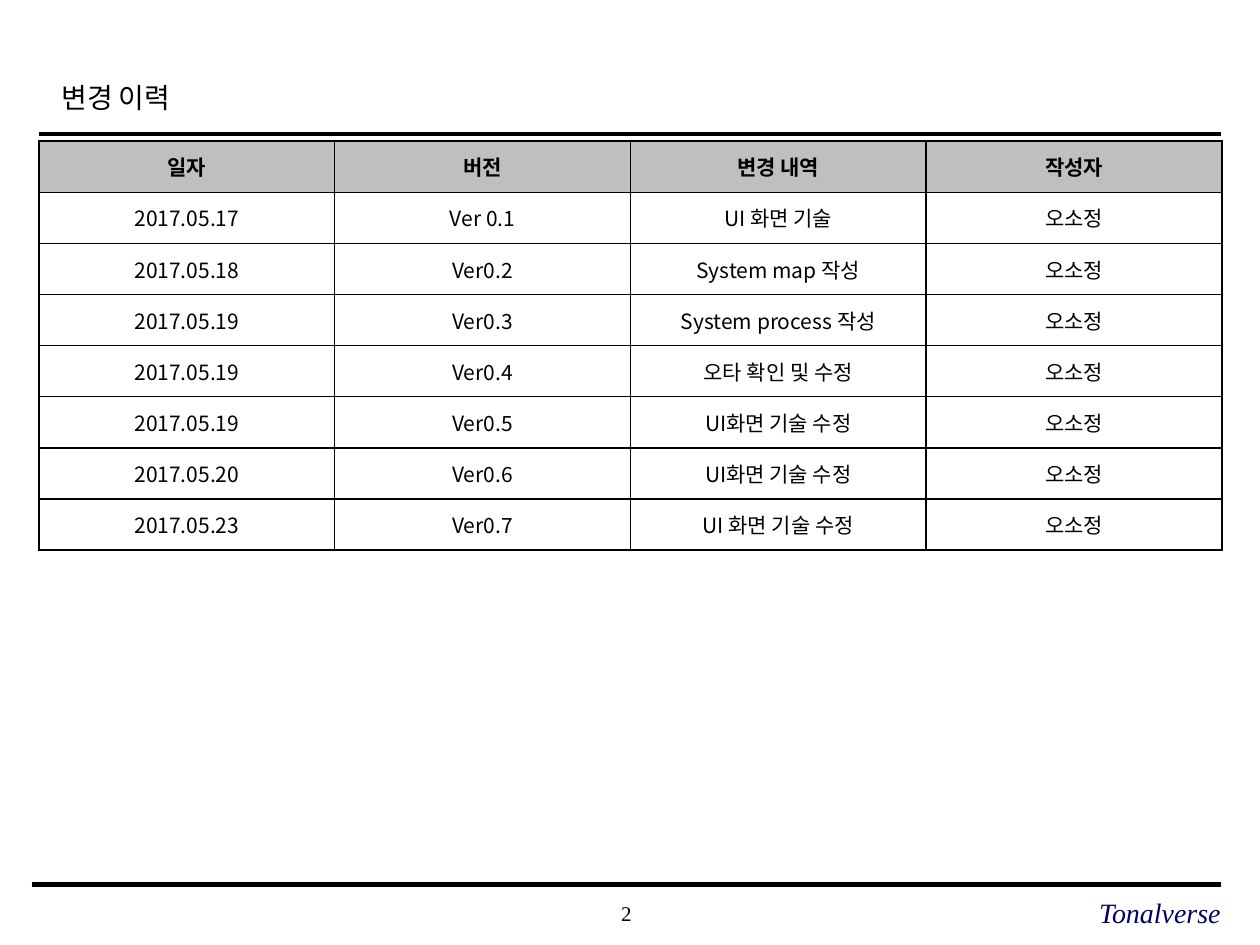
from pptx import Presentation
from pptx.dml.color import RGBColor
from pptx.enum.shapes import MSO_CONNECTOR
from pptx.enum.text import MSO_ANCHOR as Anchor, PP_ALIGN as Align
from pptx.oxml.ns import qn
from pptx.util import Pt
from lxml.etree import SubElement

LATIN = "Times New Roman"
KOREAN = "Noto Sans CJK KR"
BLACK = "000000"


def color(hex_string):
    return RGBColor.from_string(hex_string)


def add_run(paragraph, text, size, font_name, hex_string=BLACK, bold=False, italic=False):
    """Add a run whose Korean letters always use the Korean font."""
    run = paragraph.add_run()
    run.text = text
    font = run.font
    font.size, font.name, font.bold, font.italic = Pt(size), font_name, bold, italic
    font.color.rgb = color(hex_string)
    SubElement(run._r.get_or_add_rPr(), qn("a:ea"), typeface=KOREAN)


presentation = Presentation()
presentation.slide_width, presentation.slide_height = Pt(720), Pt(540)
slide = presentation.slides.add_slide(presentation.slide_layouts[6])

# Rules under the title and above the footer
for left, top, width in [(22.5, 76.5, 2.5), (18, 505.5, 3)]:
    rule = slide.shapes.add_connector(
        MSO_CONNECTOR.STRAIGHT, Pt(left), Pt(top), Pt(697.5), Pt(top))
    rule.line.color.rgb = color(BLACK)
    rule.line.width = Pt(width)
    SubElement(rule._element.spPr, qn("a:effectLst"))

# Title
title = slide.shapes.add_textbox(Pt(28), Pt(35.5), Pt(543.5), Pt(36))
title.text_frame.word_wrap = True
title.text_frame.vertical_anchor = Anchor.MIDDLE
paragraph = title.text_frame.paragraphs[0]
paragraph.line_spacing = 1.2
add_run(paragraph, "변경 이력", 16, LATIN)

# Footer: page number and team name
footers = [
    ("2", 283, 150, Align.CENTER, 12, BLACK, False),
    ("Tonalverse", 477.5, 220, Align.RIGHT, 16, "000066", True),
]
for text, left, width, align, size, hex_string, italic in footers:
    footer = slide.shapes.add_textbox(Pt(left), Pt(509.5), Pt(width), Pt(24))
    frame = footer.text_frame
    frame.word_wrap = True
    frame.vertical_anchor = Anchor.MIDDLE
    frame.margin_left = frame.margin_right = frame.margin_top = frame.margin_bottom = 0
    paragraph = frame.paragraphs[0]
    paragraph.alignment = align
    add_run(paragraph, text, size, LATIN, hex_string, italic=italic)

# Change history
history = [
    ("일자", "버전", "변경 내역", "작성자"),
    ("2017.05.17", "Ver 0.1", "UI 화면 기술", "오소정"),
    ("2017.05.18", "Ver0.2", "System map 작성", "오소정"),
    ("2017.05.19", "Ver0.3", "System process 작성", "오소정"),
    ("2017.05.19", "Ver0.4", "오타 확인 및 수정", "오소정"),
    ("2017.05.19", "Ver0.5", "UI화면 기술 수정", "오소정"),
    ("2017.05.20", "Ver0.6", "UI화면 기술 수정", "오소정"),
    ("2017.05.23", "Ver0.7", "UI 화면 기술 수정", "오소정"),
]
column_width, row_height = 169, 29.2
table = slide.shapes.add_table(
    len(history), len(history[0]), Pt(22.3), Pt(80.7),
    Pt(column_width * len(history[0])), Pt(row_height * len(history))).table
for column in table.columns:
    column.width = Pt(column_width)
for row in table.rows:
    row.height = Pt(row_height)

for row_index, entries in enumerate(history):
    is_header = row_index == 0
    for column_index, text in enumerate(entries):
        cell = table.cell(row_index, column_index)
        cell.vertical_anchor = Anchor.MIDDLE
        paragraph = cell.text_frame.paragraphs[0]
        paragraph.alignment = Align.CENTER
        add_run(paragraph, text, 12, KOREAN, bold=is_header)
        # Borders must come before the fill in the cell properties
        properties = cell._tc.get_or_add_tcPr()
        for side in ("a:lnL", "a:lnR", "a:lnT", "a:lnB"):
            border = SubElement(properties, qn(side), w=str(Pt(1)))
            border_fill = SubElement(border, qn("a:solidFill"))
            SubElement(border_fill, qn("a:srgbClr"), val=BLACK)
        cell.fill.solid()
        cell.fill.fore_color.rgb = color("BFBFBF" if is_header else "FFFFFF")

presentation.save("out.pptx")
